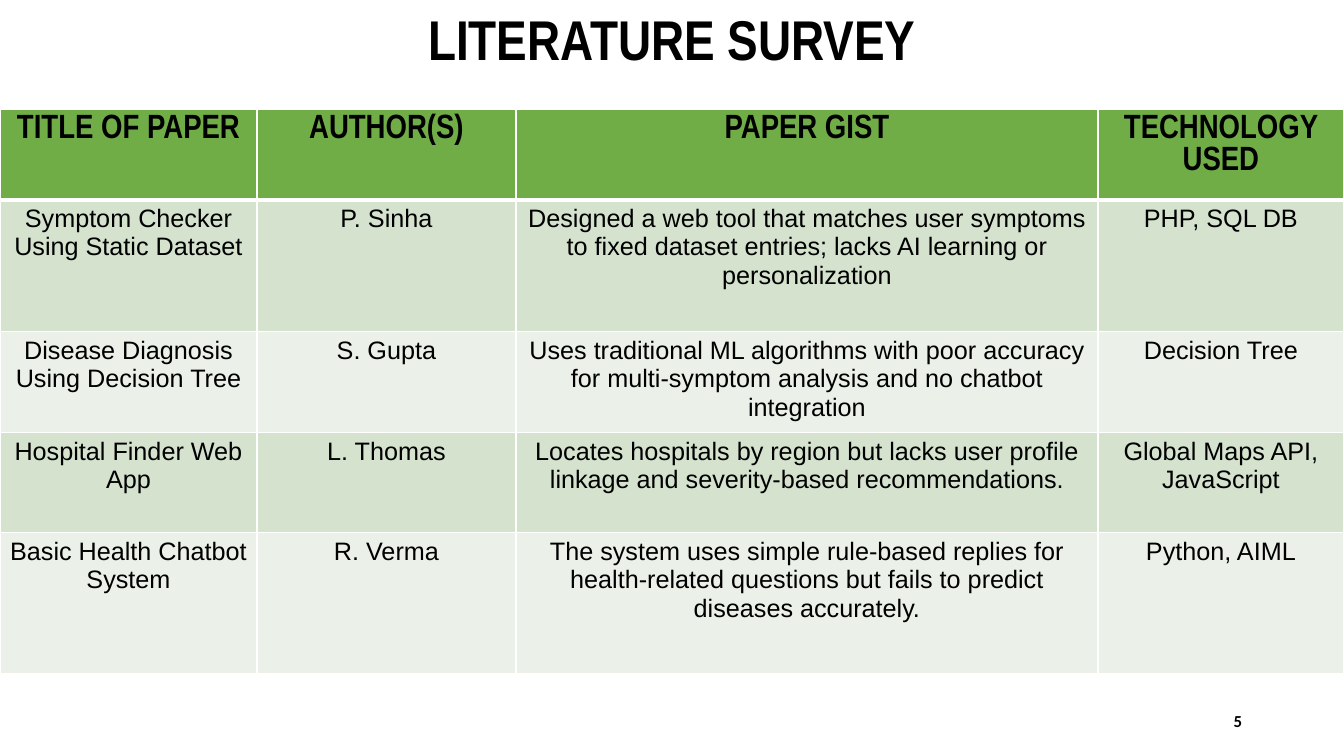
from dataclasses import dataclass

from lxml.etree import SubElement
from pptx import Presentation
from pptx.dml.color import RGBColor
from pptx.enum.text import MSO_ANCHOR as Anchor, PP_ALIGN as Align
from pptx.oxml.ns import qn
from pptx.util import Pt

EMU_PER_INCH = 914400
PX_PER_INCH = 100.8


@dataclass(frozen=True)
class TextStyle:
    font: str
    size: int
    bold: bool


@dataclass(frozen=True)
class Theme:
    ink: str = "000000"
    border: str = "FFFFFF"
    header_fill: str = "70AD47"
    row_fills: tuple = ("D4E2CE", "EBF1E8")
    title: TextStyle = TextStyle("Arial Narrow", 40, True)
    header: TextStyle = TextStyle("Arial Narrow", 24, True)
    body: TextStyle = TextStyle("Arial", 18, False)
    page_number: TextStyle = TextStyle("Calibri", 12, True)
    thin: int = 1
    thick: int = 3


THEME = Theme()

COLUMN_WIDTHS = (257, 259, 582, 246)
ROW_HEIGHTS = (89, 132, 101, 100, 141)
SURVEY = (
    ("TITLE OF PAPER", "AUTHOR(S)", "PAPER GIST", "TECHNOLOGY USED"),
    ("Symptom Checker Using Static Dataset", "P. Sinha",
     "Designed a web tool that matches user symptoms to fixed dataset entries; "
     "lacks AI learning or personalization", "PHP, SQL DB"),
    ("Disease Diagnosis Using Decision Tree", "S. Gupta",
     "Uses traditional ML algorithms with poor accuracy for multi-symptom "
     "analysis and no chatbot integration", "Decision Tree"),
    ("Hospital Finder Web App", "L. Thomas",
     "Locates hospitals by region but lacks user profile linkage and "
     "severity-based recommendations.", "Global Maps API, JavaScript"),
    ("Basic Health Chatbot System", "R. Verma",
     "The system uses simple rule-based replies for health-related questions "
     "but fails to predict diseases accurately.", "Python, AIML"),
)


def px(length):
    return round(length * EMU_PER_INCH / PX_PER_INCH)


def write(frame, text, style, align):
    frame.word_wrap = True
    paragraph = frame.paragraphs[0]
    paragraph.alignment = align
    run = paragraph.add_run()
    run.text = text
    run.font.name = style.font
    run.font.size = Pt(style.size)
    run.font.bold = style.bold
    run.font.color.rgb = RGBColor.from_string(THEME.ink)


def add_label(slide, box, text, style, align, anchor):
    label = slide.shapes.add_textbox(*map(px, box)).text_frame
    label.vertical_anchor = anchor
    write(label, text, style, align)


def add_borders(cell, top, bottom):
    """Draw all four cell edges; must run before the fill is set."""
    properties = cell._tc.get_or_add_tcPr()
    edges = {"L": THEME.thin, "R": THEME.thin, "T": top, "B": bottom}
    for side, width in edges.items():
        line = SubElement(properties, qn(f"a:ln{side}"), w=str(Pt(width)))
        fill = SubElement(line, qn("a:solidFill"))
        SubElement(fill, qn("a:srgbClr"), val=THEME.border)


def add_survey_table(slide, left, top):
    box = (left, top, sum(COLUMN_WIDTHS), sum(ROW_HEIGHTS))
    table = slide.shapes.add_table(
        len(ROW_HEIGHTS), len(COLUMN_WIDTHS), *map(px, box)).table
    for column, width in zip(table.columns, COLUMN_WIDTHS):
        column.width = px(width)
    for row, height in zip(table.rows, ROW_HEIGHTS):
        row.height = px(height)

    for row_index, entries in enumerate(SURVEY):
        is_header = row_index == 0
        style = THEME.header if is_header else THEME.body
        fill = THEME.header_fill if is_header else THEME.row_fills[(row_index - 1) % 2]
        for column_index, entry in enumerate(entries):
            cell = table.cell(row_index, column_index)
            add_borders(cell,
                        top=THEME.thick if row_index == 1 else THEME.thin,
                        bottom=THEME.thick if is_header else THEME.thin)
            cell.fill.solid()
            cell.fill.fore_color.rgb = RGBColor.from_string(fill)
            write(cell.text_frame, entry, style, Align.CENTER)


def main():
    deck = Presentation()
    deck.slide_width, deck.slide_height = px(1344), px(756)
    slide = deck.slides.add_slide(deck.slide_layouts[6])
    add_label(slide, (950, 701, 302, 40), "5", THEME.page_number,
              Align.RIGHT, Anchor.MIDDLE)
    add_label(slide, (8, 0, 1328, 78), "LITERATURE SURVEY", THEME.title,
              Align.CENTER, Anchor.TOP)
    add_survey_table(slide, 0, 109)
    deck.save("out.pptx")


if __name__ == "__main__":
    main()
